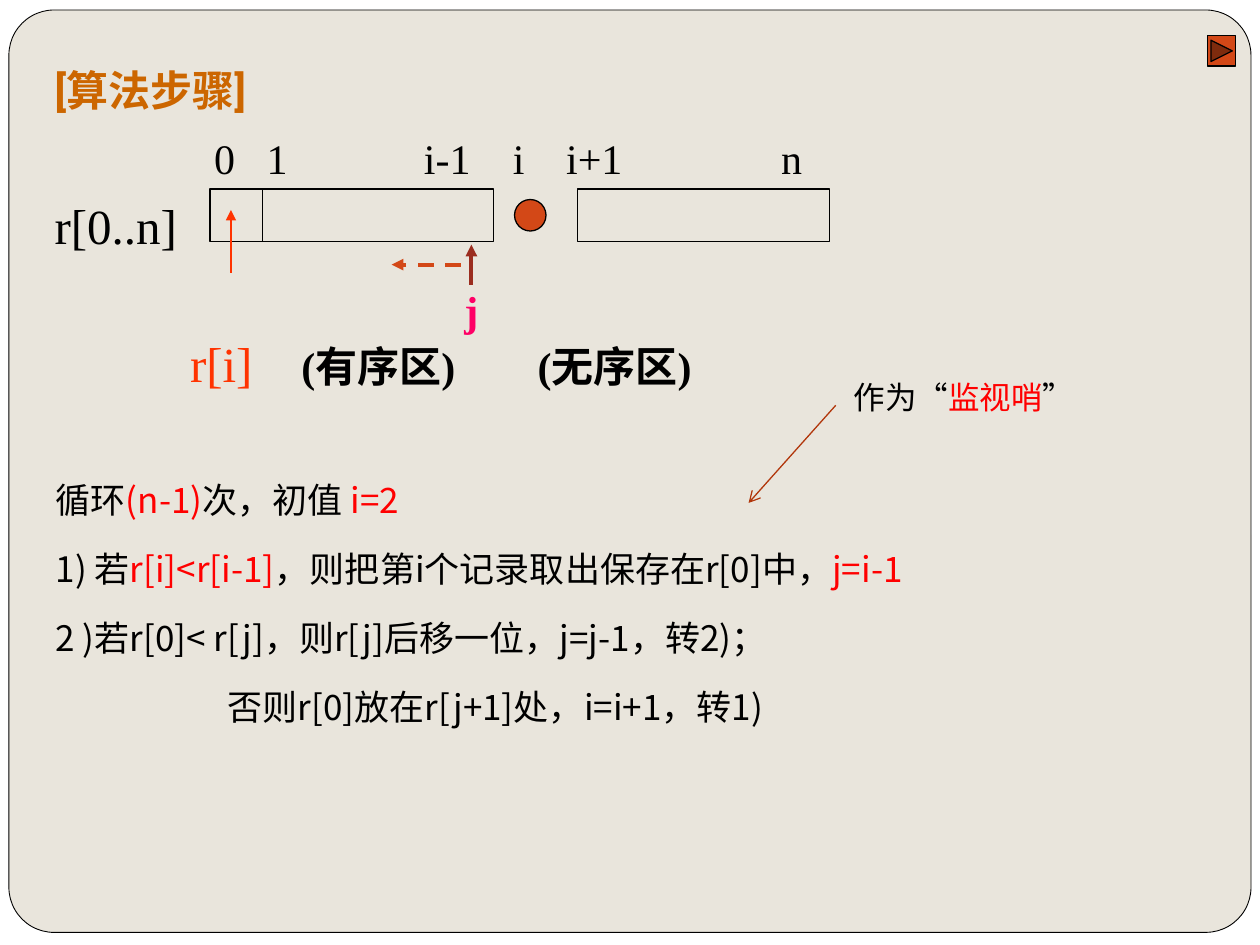
from dataclasses import dataclass

from lxml import etree
from pptx import Presentation
from pptx import util as u
from pptx.dml.color import RGBColor
from pptx.enum import dml, shapes, text
from pptx.oxml.ns import qn


@dataclass(frozen=True)
class Theme:
    """Colours, fonts and type sizes of the slide."""
    panel: str = "E9E5DC"
    ink: str = "000000"
    title: str = "CC6600"
    accent: str = "D34817"
    sentinel: str = "FF3300"
    pointer: str = "9B2D1F"
    pointer_name: str = "FF0066"
    note_line: str = "B1360B"
    stress: str = "FF0000"
    serif: str = "Times New Roman"
    sans: str = "Noto Sans CJK SC"
    heading: str = "Roboto"
    name_size: int = 28
    label_size: int = 24
    step_size: int = 20
    note_size: int = 18
    step_pitch: float = 39.4


@dataclass(frozen=True)
class Box:
    """A region of the slide, measured in grid cells of a twelfth of an inch."""
    left: float
    top: float
    width: float
    height: float

    def inner(self, left, top, width, height):
        """Return a region placed relative to this one."""
        return Box(self.left + left, self.top + top, width, height)

    def lengths(self):
        """Return left, top, width and height as slide lengths."""
        return [cell(n) for n in (self.left, self.top, self.width, self.height)]


THEME = Theme()


def cell(count):
    """Turn grid cells into a length."""
    return u.Inches(count / 12)


def colour(value):
    """Turn a hex string into a colour."""
    return RGBColor.from_string(value)


def write(frame, lines, *, size, font=THEME.serif, color=THEME.ink, bold=False,
          align=text.PP_ALIGN.LEFT, anchor=text.MSO_ANCHOR.MIDDLE, pitch=None):
    """Fill a text frame with lines made of plain strings or (string, colour) runs."""
    frame.word_wrap = True
    frame.auto_size = text.MSO_AUTO_SIZE.NONE
    frame.vertical_anchor = anchor
    frame.margin_left = frame.margin_right = frame.margin_top = frame.margin_bottom = 0
    for index, line in enumerate(lines):
        paragraph = frame.add_paragraph() if index else frame.paragraphs[0]
        paragraph.alignment = align
        if pitch:
            paragraph.line_spacing = u.Pt(pitch)
        for piece in line:
            words, shade = (piece, color) if isinstance(piece, str) else piece
            run = paragraph.add_run()
            run.text = words
            run.font.size, run.font.bold, run.font.name = u.Pt(size), bold, font
            run.font.color.rgb = colour(shade)
            east_asian = etree.SubElement(run._r.get_or_add_rPr(), qn("a:ea"))
            east_asian.set("typeface", THEME.sans)


def add_text(slide, box, lines, **style):
    """Add a text box to the slide."""
    write(slide.shapes.add_textbox(*box.lengths()).text_frame, lines, **style)


def add_shape(slide, kind, box, fill=None, weight=0.75):
    """Add an outlined preset shape."""
    shape = slide.shapes.add_shape(kind, *box.lengths())
    shape.shadow.inherit = False
    if fill:
        shape.fill.solid()
        shape.fill.fore_color.rgb = colour(fill)
    else:
        shape.fill.background()
    shape.line.color.rgb = colour(THEME.ink)
    shape.line.width = u.Pt(weight)
    return shape


def add_line(slide, box, start, end, color, weight=0.75, head=None, dash=None):
    """Draw a straight line between two points of a region."""
    points = [cell(n) for x, y in (start, end) for n in (box.left + x, box.top + y)]
    connector = slide.shapes.add_connector(shapes.MSO_CONNECTOR.STRAIGHT, *points)
    connector.line.color.rgb = colour(color)
    connector.line.width = u.Pt(weight)
    if dash:
        connector.line.dash_style = dash
    properties = connector._element.spPr
    if head:
        etree.SubElement(properties.find(qn("a:ln")), qn("a:tailEnd")).set("type", head)
    etree.SubElement(properties, qn("a:effectLst"))


def build_frame(slide, box):
    """Draw the rounded panel, the title and the forward button."""
    panel = add_shape(slide, shapes.MSO_SHAPE.ROUNDED_RECTANGLE,
                      box.inner(0.85, 0.95, 118.3, 87.85), THEME.panel, 0.5)
    panel.adjustments[0] = 0.049
    slide.shapes._spTree.insert(2, panel._element)
    title = slide.shapes.title
    title.left, title.top, title.width, title.height = box.inner(5.2, 5, 102, 7).lengths()
    write(title.text_frame, [["[算法步骤]"]], size=THEME.label_size,
          font=THEME.heading, color=THEME.title, bold=True)
    add_shape(slide, shapes.MSO_SHAPE.ACTION_BUTTON_FORWARD_OR_NEXT,
              box.inner(115, 3.4, 2.7, 2.9), THEME.accent)


def build_array(slide, box):
    """Draw the array with its index labels, zones and pointers."""
    row = box.height
    for left, width in ((0, 27), (35, 24)):
        add_shape(slide, shapes.MSO_SHAPE.RECTANGLE, box.inner(left, 0, width, row))
    add_line(slide, box, (5, 0), (5, row), THEME.ink)
    add_shape(slide, shapes.MSO_SHAPE.OVAL, box.inner(29, 1, 3, 3), THEME.accent)

    indices = {"0": 1.4, "1": 6.4, "i-1": 22.6, "i": 29.4, "i+1": 36.6, "n": 55.4}
    for label, centre in indices.items():
        add_text(slide, box.inner(centre - 4, -5.5, 8, 5), [[label]],
                 size=THEME.label_size, align=text.PP_ALIGN.CENTER)

    add_text(slide, box.inner(-14.8, 0.6, 14, 5.6), [["r[0..n]"]], size=THEME.name_size)
    add_text(slide, box.inner(-1.9, 13.8, 8, 5.6), [["r[i]"]],
             size=THEME.name_size, color=THEME.sentinel)
    for zone, left in (("(有序区)", 8.7), ("(无序区)", 31.2)):
        add_text(slide, box.inner(left, 14, 20, 5.6), [[zone]],
                 size=THEME.label_size, bold=True)

    add_line(slide, box, (2, 8), (2, 2), THEME.sentinel, head="triangle")
    add_line(slide, box, (24.9, 9.1), (24.9, 5.3), THEME.pointer, 2.25, "triangle")
    add_line(slide, box, (23.9, 7.2), (17.3, 7.2), THEME.accent, 2.25, "triangle",
             dml.MSO_LINE.DASH)
    add_text(slide, box.inner(21.9, 8.7, 6, 5.6), [["j"]], size=THEME.label_size,
             color=THEME.pointer_name, bold=True, align=text.PP_ALIGN.CENTER)


def build_note(slide, box):
    """Place the sentinel remark and the arrow that leads from it."""
    add_text(slide, box, [["作为“", ("监视哨", THEME.stress), "”"]], size=THEME.note_size)
    add_line(slide, box, (-1.7, 3.3), (-10, 12.6), THEME.note_line, head="arrow")


def build_steps(slide, box):
    """List the steps of the algorithm, the alternative indented."""
    style = dict(size=THEME.step_size, font=THEME.sans,
                 anchor=text.MSO_ANCHOR.TOP, pitch=THEME.step_pitch)
    stress = THEME.stress
    steps = [
        ["循环", ("(n-1)", stress), "次，初值 ", ("i=2", stress)],
        ["1) 若", ("r[i]<r[i-1]", stress), "，则把第i个记录取出保存在r[0]中，",
         ("j=i-1", stress)],
        ["2 )若r[0]< r[j]，则r[j]后移一位，j=j-1，转2)；"],
    ]
    otherwise = "否则r[0]放在r[j+1]处，i=i+1，转1)"
    pitch = THEME.step_pitch / 6
    add_text(slide, box.inner(0, 0, box.width, 3 * pitch), steps, **style)
    add_text(slide, box.inner(16.4, 3 * pitch, box.width - 16.4, pitch),
             [[otherwise]], **style)


def main():
    """Build the slide and save it."""
    presentation = Presentation()
    presentation.slide_width, presentation.slide_height = cell(120), cell(90)
    slide = presentation.slides.add_slide(presentation.slide_layouts[5])
    build_frame(slide, Box(0, 0, 120, 90))
    build_array(slide, Box(20, 18, 59, 5))
    build_note(slide, Box(81.3, 35.3, 24, 5))
    build_steps(slide, Box(5.3, 43, 104, 26.3))
    presentation.save("out.pptx")


if __name__ == "__main__":
    main()
